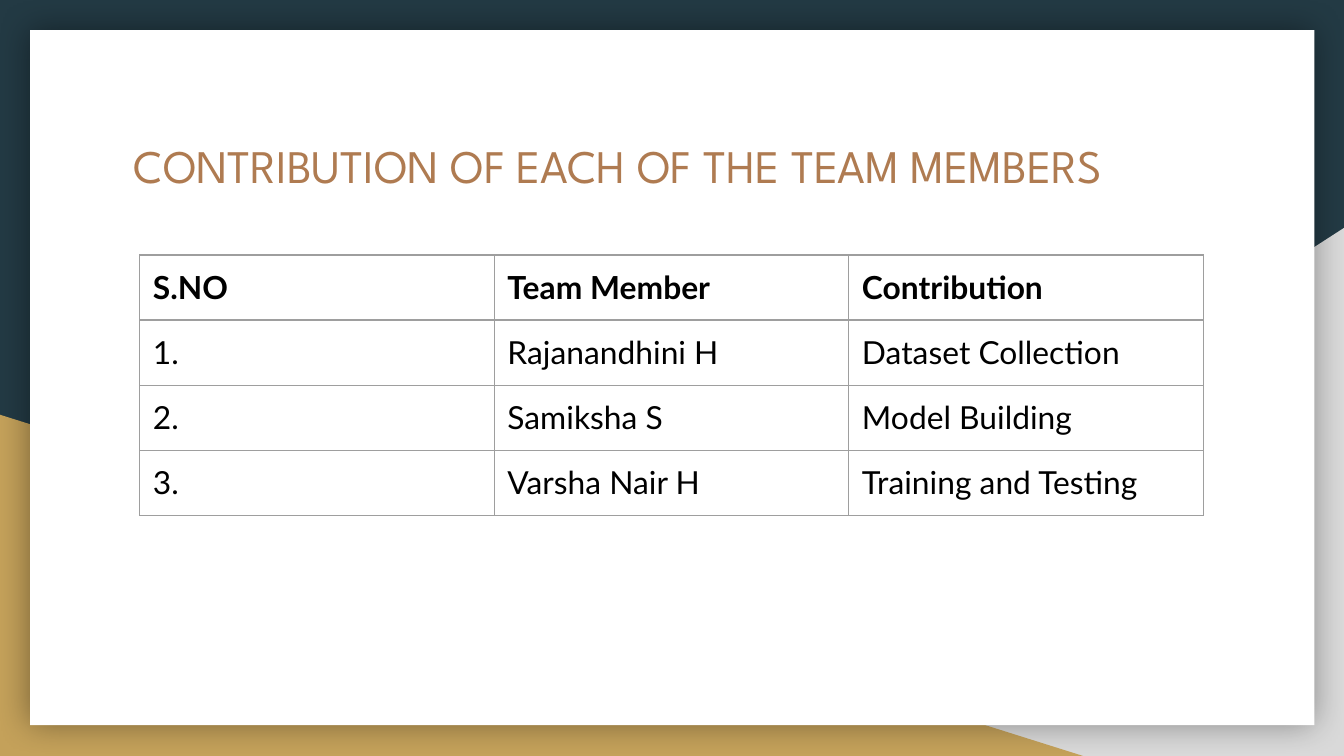
"""Build the slide that lists what each team member contributed."""
import lxml.etree
import pptx
import pptx.dml.color
import pptx.enum.shapes
import pptx.enum.text
import pptx.oxml.ns
import pptx.util

Cm = pptx.util.Cm
Pt = pptx.util.Pt
RGBColor = pptx.dml.color.RGBColor
SHAPES = pptx.enum.shapes.MSO_SHAPE
qn = pptx.oxml.ns.qn

NAVY = RGBColor(0x23, 0x3A, 0x44)
GREY = RGBColor(0xD9, 0xD9, 0xD9)
GOLD = RGBColor(0xC4, 0xA1, 0x5A)
WHITE = RGBColor(0xFF, 0xFF, 0xFF)
COPPER = RGBColor(0xAF, 0x7B, 0x51)
BLACK = RGBColor(0x00, 0x00, 0x00)
BORDER = RGBColor(0x9E, 0x9E, 0x9E)

INSET = Cm(0.25)
ROWS = [
    ("S.NO", "Team Member", "Contribution"),
    ("1.", "Rajanandhini H", "Dataset Collection"),
    ("2.", "Samiksha S", "Model Building"),
    ("3.", "Varsha Nair H", "Training and Testing"),
]


def add_panel(page, kind, left, top, width, height, color):
    shape = page.shapes.add_shape(kind, Cm(left), Cm(top), Cm(width), Cm(height))
    shape.shadow.inherit = False
    shape.fill.solid()
    shape.fill.fore_color.rgb = color
    shape.line.fill.background()
    return shape


def add_glow_shadow(shape, color, opacity, blur):
    effects = shape.element.spPr.find(qn("a:effectLst"))
    shadow = lxml.etree.SubElement(
        effects, qn("a:outerShdw"), blurRad=str(Pt(blur)), dist="0", dir="0",
        algn="ctr", rotWithShape="0")
    tint = lxml.etree.SubElement(shadow, qn("a:srgbClr"), val=str(color))
    lxml.etree.SubElement(tint, qn("a:alpha"), val=str(opacity * 1000))


def style_text(frame, font_name, size, color, bold=False):
    for para in frame.paragraphs:
        for span in para.runs:
            span.font.name = font_name
            span.font.size = Pt(size)
            span.font.bold = bold
            span.font.color.rgb = color


def set_insets(holder):
    holder.margin_left = holder.margin_right = INSET
    holder.margin_top = holder.margin_bottom = INSET


def add_title(page, text):
    box = page.shapes.add_textbox(Cm(2.28), Cm(2.34), Cm(20.86), Cm(2.64))
    frame = box.text_frame
    frame.word_wrap = True
    frame.vertical_anchor = pptx.enum.text.MSO_ANCHOR.TOP
    set_insets(frame)
    frame.text = text
    style_text(frame, "League Spartan", 25, COPPER)


def add_borders(cell, color, width):
    properties = cell._tc.get_or_add_tcPr()
    for side in ("L", "R", "T", "B"):
        line = lxml.etree.SubElement(properties, qn(f"a:ln{side}"), w=str(Pt(width)))
        fill = lxml.etree.SubElement(line, qn("a:solidFill"))
        lxml.etree.SubElement(fill, qn("a:srgbClr"), val=str(color))


def add_member_table(page, rows):
    frame = page.shapes.add_table(
        len(rows), len(rows[0]), Cm(2.64), Cm(4.82), Cm(20.1), Cm(1.23 * len(rows)))
    table = frame.table
    table.first_row = False
    table.horz_banding = False
    for row_index, row in enumerate(rows):
        for column_index, text in enumerate(row):
            cell = table.cell(row_index, column_index)
            set_insets(cell)
            cell.text_frame.text = text
            style_text(cell.text_frame, "Lato", 17, BLACK, bold=row_index == 0)
            add_borders(cell, BORDER, 0.75)
            cell.fill.background()


def main():
    deck = pptx.Presentation()
    deck.slide_width = Cm(25.4)
    deck.slide_height = Cm(14.29)
    page = deck.slides.add_slide(deck.slide_layouts[6])
    page.background.fill.solid()
    page.background.fill.fore_color.rgb = NAVY

    right_corner = add_panel(page, SHAPES.RIGHT_TRIANGLE, 9.95, 4.31, 15.45, 9.98, GREY)
    right_corner.element.spPr.xfrm.set("flipH", "1")
    add_panel(page, SHAPES.RIGHT_TRIANGLE, 0, 7.84, 20.47, 6.45, GOLD)
    card = add_panel(page, SHAPES.RECTANGLE, 0.57, 0.57, 24.27, 13.14, WHITE)
    add_glow_shadow(card, BLACK, 40, 18)

    add_title(page, "CONTRIBUTION OF EACH OF THE TEAM MEMBERS")
    add_member_table(page, ROWS)
    deck.save("out.pptx")


if __name__ == "__main__":
    main()
